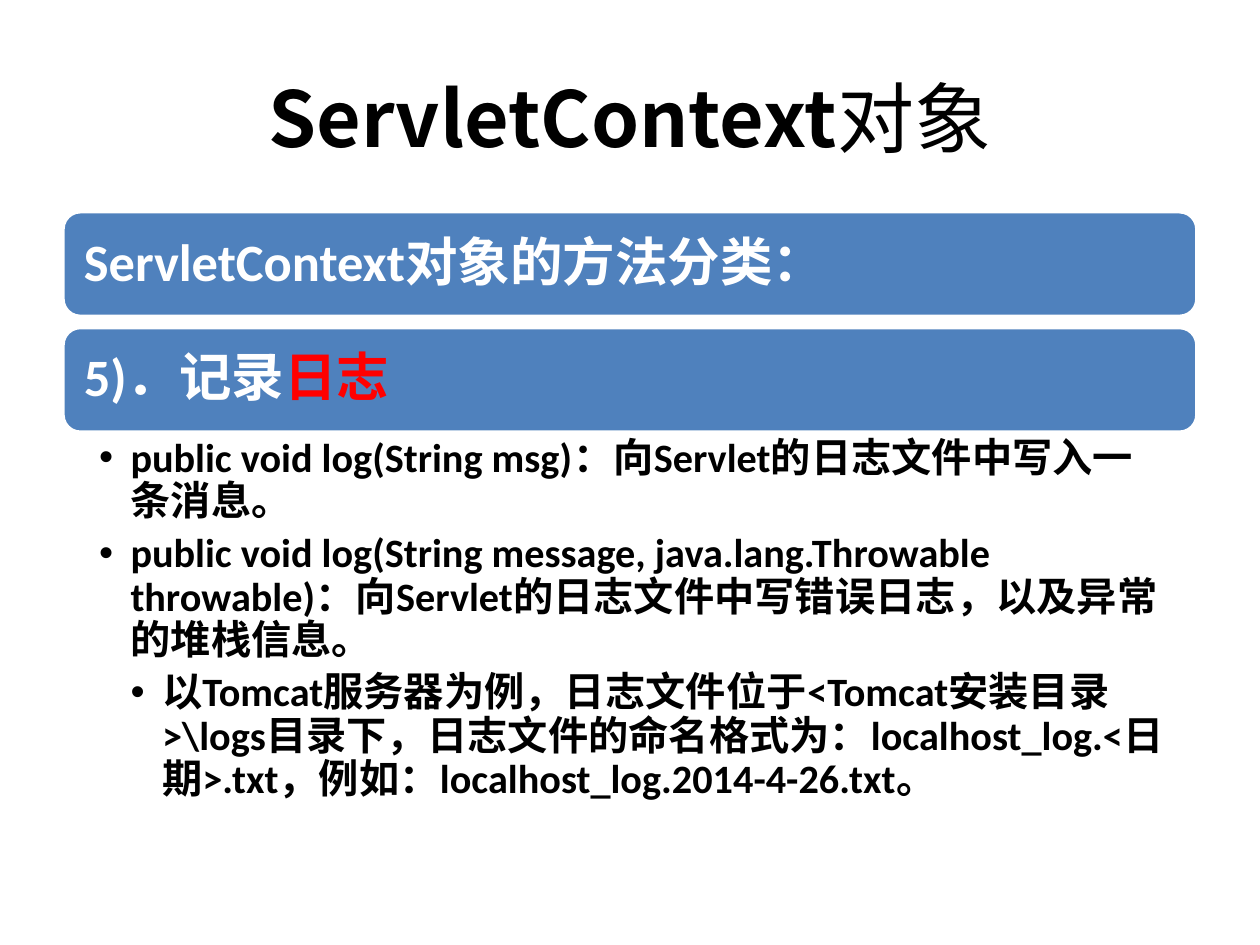
from dataclasses import dataclass

from lxml.etree import SubElement
from pptx import Presentation
from pptx.dml.color import RGBColor
from pptx.enum.shapes import MSO_SHAPE as Preset
from pptx.enum.text import MSO_ANCHOR as Anchor, PP_ALIGN as Align
from pptx.oxml.ns import qn
from pptx.util import Pt


@dataclass(frozen=True)
class Theme:
    bar: RGBColor = RGBColor(0x4F, 0x81, 0xBD)
    white: RGBColor = RGBColor(0xFF, 0xFF, 0xFF)
    black: RGBColor = RGBColor(0, 0, 0)
    accent: RGBColor = RGBColor(0xFF, 0, 0)
    title_font: str = "Noto Sans CJK JP"
    body_font: str = "Calibri"
    title_size: float = 44
    bar_size: float = 30
    bullet_size: float = 23


THEME = Theme()
LEFT, WIDTH = 36, 648
BAR_TOP, BAR_HEIGHT, BAR_PITCH = 121, 59.8, 66.2


@dataclass(frozen=True)
class Span:
    text: str
    color: RGBColor
    bold: bool = True


@dataclass(frozen=True)
class Bullet:
    level: int
    text: str


TITLE = [Span("ServletContext", THEME.black), Span("对象", THEME.black, bold=False)]
BARS = [
    [Span("ServletContext对象的方法分类：", THEME.white)],
    [Span("5)．记录", THEME.white), Span("日志", THEME.accent)],
]
BULLETS = [
    Bullet(1, "public void log(String msg)：向Servlet的日志文件中写入一条消息。"),
    Bullet(1, "public void log(String message, java.lang.Throwable throwable)："
              "向Servlet的日志文件中写错误日志，以及异常的堆栈信息。"),
    Bullet(2, "以Tomcat服务器为例，日志文件位于<Tomcat安装目录>\\logs目录下，"
              "日志文件的命名格式为：localhost_log.<日期>.txt，"
              "例如：localhost_log.2014-4-26.txt。"),
]


def add_spans(paragraph, spans: list[Span], font: str, size: float) -> None:
    for span in spans:
        run = paragraph.add_run()
        run.text = span.text
        run.font.name = font
        run.font.size = Pt(size)
        run.font.bold = span.bold
        run.font.color.rgb = span.color


def set_frame(frame, anchor: Anchor, left: float, top: float, right: float) -> None:
    frame.word_wrap = True
    frame.vertical_anchor = anchor
    frame.margin_left, frame.margin_right = Pt(left), Pt(right)
    frame.margin_top = frame.margin_bottom = Pt(top)


def add_title(slide) -> None:
    heading = slide.shapes.add_textbox(Pt(LEFT), Pt(21.6), Pt(WIDTH), Pt(90))
    set_frame(heading.text_frame, Anchor.MIDDLE, 7.2, 3.6, 7.2)
    paragraph = heading.text_frame.paragraphs[0]
    paragraph.alignment = Align.CENTER
    add_spans(paragraph, TITLE, THEME.title_font, THEME.title_size)
    for run in paragraph.runs:
        SubElement(run.font._element, qn("a:ea"), typeface=THEME.title_font)


def add_bar(slide, top: float, spans: list[Span]) -> None:
    bar = slide.shapes.add_shape(
        Preset.ROUNDED_RECTANGLE, Pt(LEFT), Pt(top), Pt(WIDTH), Pt(BAR_HEIGHT))
    bar.shadow.inherit = False
    bar.fill.solid()
    bar.fill.fore_color.rgb = THEME.bar
    bar.line.color.rgb = THEME.white
    bar.line.width = Pt(2)
    set_frame(bar.text_frame, Anchor.MIDDLE, 9, 9, 9)
    paragraph = bar.text_frame.paragraphs[0]
    paragraph.alignment = Align.LEFT
    paragraph.line_spacing = 0.9
    add_spans(paragraph, spans, THEME.body_font, THEME.bar_size)


def add_bullets(slide, top: float, bullets: list[Bullet]) -> None:
    details = slide.shapes.add_textbox(Pt(LEFT), Pt(top), Pt(WIDTH), Pt(234.6))
    frame = details.text_frame
    set_frame(frame, Anchor.TOP, 20.6, 2.9, 16.4)
    for index, bullet in enumerate(bullets):
        paragraph = frame.add_paragraph() if index else frame.paragraphs[0]
        paragraph.level = bullet.level
        properties = paragraph._p.get_or_add_pPr()
        properties.set("marL", str(Pt(18 * bullet.level)))
        properties.set("indent", str(-Pt(18)))
        SubElement(properties, qn("a:buFont"), typeface="Arial")
        SubElement(properties, qn("a:buChar"), char="•")
        paragraph.line_spacing = 0.9
        paragraph.space_after = Pt(5)
        add_spans(paragraph, [Span(bullet.text, THEME.black)],
                  THEME.body_font, THEME.bullet_size)


def main() -> None:
    deck = Presentation()
    deck.slide_width, deck.slide_height = Pt(720), Pt(540)
    slide = deck.slides.add_slide(deck.slide_layouts[6])

    # Title
    add_title(slide)

    # Heading bars
    for row, spans in enumerate(BARS):
        add_bar(slide, BAR_TOP + row * BAR_PITCH, spans)

    # Method descriptions, directly below the last bar
    add_bullets(slide, BAR_TOP + BAR_PITCH + BAR_HEIGHT, BULLETS)

    deck.save("out.pptx")


if __name__ == "__main__":
    main()
